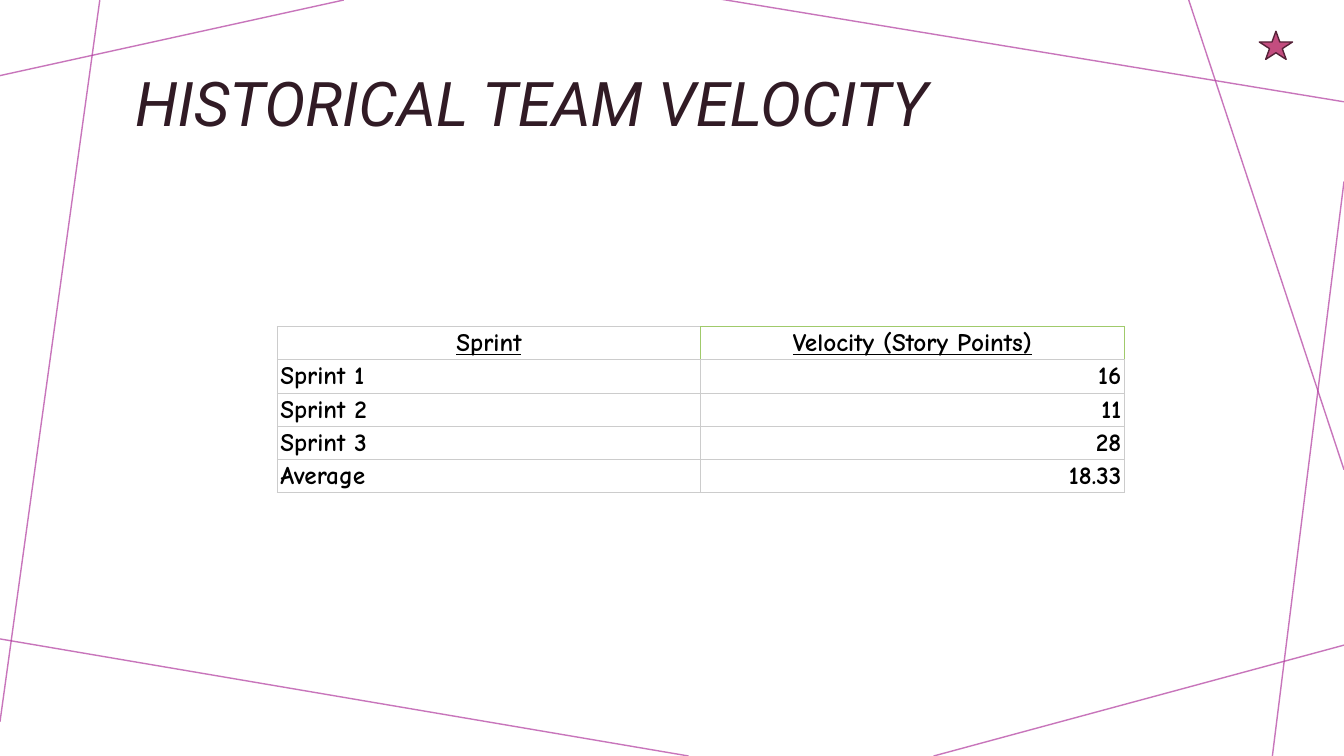
from dataclasses import dataclass
from typing import NamedTuple

from lxml.etree import SubElement
from pptx import Presentation
from pptx.dml.color import RGBColor
from pptx.enum.shapes import MSO_CONNECTOR, MSO_SHAPE
from pptx.enum.text import MSO_ANCHOR, PP_ALIGN
from pptx.oxml.ns import qn
from pptx.slide import Slide
from pptx.table import _Cell as Cell
from pptx.util import Inches, Pt


@dataclass(frozen=True)
class Theme:
    title_font: str = "Roboto"
    table_font: str = "Comic Neue"
    title_size: int = 44
    table_size: int = 18
    title_color: str = "311B25"
    table_color: str = "000000"
    ray_color: str = "B13B9F"
    star_fill: str = "C34D7F"
    star_line: str = "552238"
    grid: str = "CCCCCC"
    accent_grid: str = "A0CA6B"


class Ray(NamedTuple):
    x1: float
    y1: float
    x2: float
    y2: float


class VelocityRow(NamedTuple):
    sprint: str
    points: str


THEME = Theme()
RAYS = [
    Ray(3.41, 0, 0, 0.75),
    Ray(0.99, 0, 0, 7.16),
    Ray(6.83, 7.5, -0.05, 6.33),
    Ray(13.33, 6.4, 9.26, 7.5),
    Ray(13.33, 1.8, 12.62, 7.5),
    Ray(13.33, 4.66, 11.79, 0),
    Ray(13.33, 1.01, 7.14, -0.01),
]
ROWS = [
    VelocityRow("Sprint", "Velocity (Story Points)"),
    VelocityRow("Sprint 1", "16"),
    VelocityRow("Sprint 2", "11"),
    VelocityRow("Sprint 3", "28"),
    VelocityRow("Average", "18.33"),
]
COLUMN_WIDTH, ROW_HEIGHT = 4.2, 0.33


def rgb(color: str) -> RGBColor:
    return RGBColor.from_string(color)


def draw_ray(slide: Slide, ray: Ray) -> None:
    line = slide.shapes.add_connector(
        MSO_CONNECTOR.STRAIGHT, *(Inches(value) for value in ray))
    line.line.width = Pt(1)
    line.line.color.rgb = rgb(THEME.ray_color)
    properties = line._element.spPr
    SubElement(next(properties.iter(qn("a:srgbClr"))), qn("a:alpha"), val="70000")
    SubElement(properties, qn("a:effectLst"))


def draw_title(slide: Slide, words: str) -> None:
    title = slide.shapes.title
    title.left, title.top = Inches(1.24), Inches(0.54)
    title.width, title.height = Inches(11.51), Inches(1.04)
    title.text_frame.vertical_anchor = MSO_ANCHOR.MIDDLE
    paragraph = title.text_frame.paragraphs[0]
    paragraph.alignment = PP_ALIGN.LEFT
    paragraph.line_spacing = 0.9
    run = paragraph.add_run()
    run.text = words
    run.font.name, run.font.size = THEME.title_font, Pt(THEME.title_size)
    run.font.italic = True
    run.font.color.rgb = rgb(THEME.title_color)


def set_borders(cell: Cell, left: str, right: str, top: str, bottom: str) -> None:
    properties = cell._tc.get_or_add_tcPr()
    for side, color in zip("LRTB", (left, right, top, bottom)):
        border = SubElement(properties, qn(f"a:ln{side}"), w=str(Pt(0.75)))
        fill = SubElement(border, qn("a:solidFill"))
        SubElement(fill, qn("a:srgbClr"), val=color)


def fill_cell(cell: Cell, words: str, align: PP_ALIGN, header: bool) -> None:
    cell.vertical_anchor = MSO_ANCHOR.BOTTOM
    cell.margin_left = cell.margin_right = Inches(0.03)
    cell.margin_top = cell.margin_bottom = Inches(0.02)
    cell.fill.background()
    paragraph = cell.text_frame.paragraphs[0]
    paragraph.alignment = align
    run = paragraph.add_run()
    run.text = words
    run.font.name, run.font.size = THEME.table_font, Pt(THEME.table_size)
    run.font.bold, run.font.underline = True, header
    run.font.color.rgb = rgb(THEME.table_color)


def draw_velocity_table(slide: Slide, rows: list[VelocityRow]) -> None:
    table = slide.shapes.add_table(
        len(rows), 2, Inches(2.75), Inches(3.24),
        Inches(2 * COLUMN_WIDTH), Inches(ROW_HEIGHT * len(rows))).table
    table.first_row = table.horz_banding = False
    grid, accent = THEME.grid, THEME.accent_grid
    for r, row in enumerate(rows):
        header = r == 0
        for c, words in enumerate(row):
            cell = table.cell(r, c)
            side = accent if header and c == 1 else grid
            right = accent if header else grid
            set_borders(cell, side, right, side, grid)
            align = PP_ALIGN.CENTER if header else (PP_ALIGN.LEFT, PP_ALIGN.RIGHT)[c]
            fill_cell(cell, words, align, header)
    velocity_header = table.cell(0, 1)
    velocity_header.margin_left = velocity_header.margin_right = 0


def draw_star(slide: Slide) -> None:
    star = slide.shapes.add_shape(
        MSO_SHAPE.STAR_5_POINT, Inches(12.49), Inches(0.31), Inches(0.33), Inches(0.28))
    star.shadow.inherit = False
    star.fill.solid()
    star.fill.fore_color.rgb = rgb(THEME.star_fill)
    star.line.color.rgb = rgb(THEME.star_line)
    star.line.width = Pt(1)


def main() -> None:
    deck = Presentation()
    deck.slide_width, deck.slide_height = Inches(13.33), Inches(7.5)
    slide = deck.slides.add_slide(deck.slide_layouts[5])
    for ray in RAYS:
        draw_ray(slide, ray)
    draw_title(slide, "HISTORICAL TEAM VELOCITY")
    draw_velocity_table(slide, ROWS)
    draw_star(slide)
    deck.save("out.pptx")


if __name__ == "__main__":
    main()
